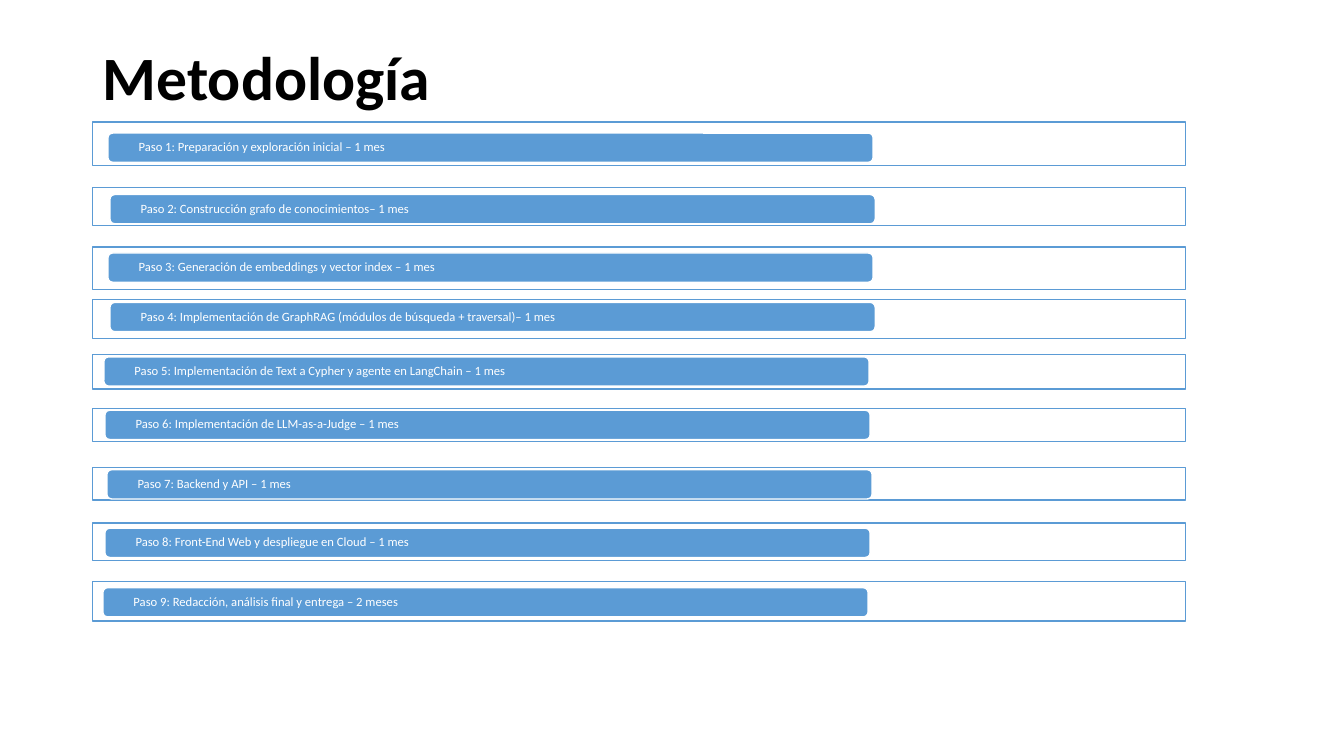
import pptx
import pptx.util
import pptx.dml.color
import pptx.enum.shapes
import pptx.enum.text
import pptx.oxml.ns
import lxml.etree

Inches = pptx.util.Inches
RGBColor = pptx.dml.color.RGBColor
SHAPES = pptx.enum.shapes.MSO_SHAPE

BLACK = RGBColor(0x00, 0x00, 0x00)
WHITE = RGBColor(0xFF, 0xFF, 0xFF)
BLUE = RGBColor(0x5B, 0x9B, 0xD5)


def write_text(shape, text, size, color, bold=False, inset=0.1, inset_y=0.05):
    frame = shape.text_frame
    frame.word_wrap = True
    frame.vertical_anchor = pptx.enum.text.MSO_ANCHOR.MIDDLE
    frame.margin_left = frame.margin_right = Inches(inset)
    frame.margin_top = frame.margin_bottom = Inches(inset_y)
    para = frame.paragraphs[0]
    para.alignment = pptx.enum.text.PP_ALIGN.LEFT
    para.line_spacing = 0.9
    span = para.add_run()
    span.text = text
    span.font.name = "Calibri"
    span.font.size = pptx.util.Pt(size)
    span.font.bold = bold
    span.font.color.rgb = color


def add_box(kind, left, top, width, height, fill, line):
    box = page.shapes.add_shape(
        kind, Inches(left), Inches(top), Inches(width), Inches(height))
    box.shadow.inherit = False
    box.fill.solid()
    box.fill.fore_color.rgb = fill
    box.line.color.rgb = line
    box.line.width = pptx.util.Pt(1)
    return box


deck = pptx.Presentation()
deck.slide_width = Inches(13.33)
deck.slide_height = Inches(7.5)
page = deck.slides.add_slide(deck.slide_layouts[6])

title = page.shapes.add_textbox(Inches(0.92), Inches(0.07), Inches(11.5), Inches(1.45))
write_text(title, "Metodología", size=44, color=BLACK, bold=True)

steps = [
    ("Preparación y exploración inicial – 1 mes", 1.21, 0.43, 1.07, 1.32),
    ("Construcción grafo de conocimientos– 1 mes", 1.86, 0.38, 1.09, 1.93),
    ("Generación de embeddings y vector index – 1 mes", 2.45, 0.42, 1.07, 2.51),
    ("Implementación de GraphRAG (módulos de búsqueda + traversal)– 1 mes",
     2.97, 0.39, 1.09, 3.0),
    ("Implementación de Text a Cypher y agente en LangChain – 1 mes",
     3.52, 0.34, 1.03, 3.54),
    ("Implementación de LLM-as-a-Judge – 1 mes", 4.05, 0.33, 1.04, 4.07),
    ("Backend y API – 1 mes", 4.64, 0.32, 1.06, 4.66),
    ("Front-End Web y despliegue en Cloud – 1 mes", 5.19, 0.37, 1.04, 5.24),
    ("Redacción, análisis final y entrega – 2 meses", 5.77, 0.39, 1.02, 5.83),
]

for number, (label, frame_top, frame_height, bar_left, bar_top) in enumerate(steps, 1):
    step_frame = add_box(
        SHAPES.RECTANGLE, 0.92, frame_top, 10.84, frame_height, WHITE, BLUE)
    fill_color = step_frame.fill._xPr.find(".//" + pptx.oxml.ns.qn("a:srgbClr"))
    lxml.etree.SubElement(fill_color, pptx.oxml.ns.qn("a:alpha"), val="90000")

    step_bar = add_box(
        SHAPES.ROUNDED_RECTANGLE, bar_left, bar_top, 7.59, 0.29, BLUE, WHITE)
    write_text(step_bar, f"Paso {number}: {label}", size=9, color=WHITE,
               inset=0.29, inset_y=0)

deck.save("out.pptx")
